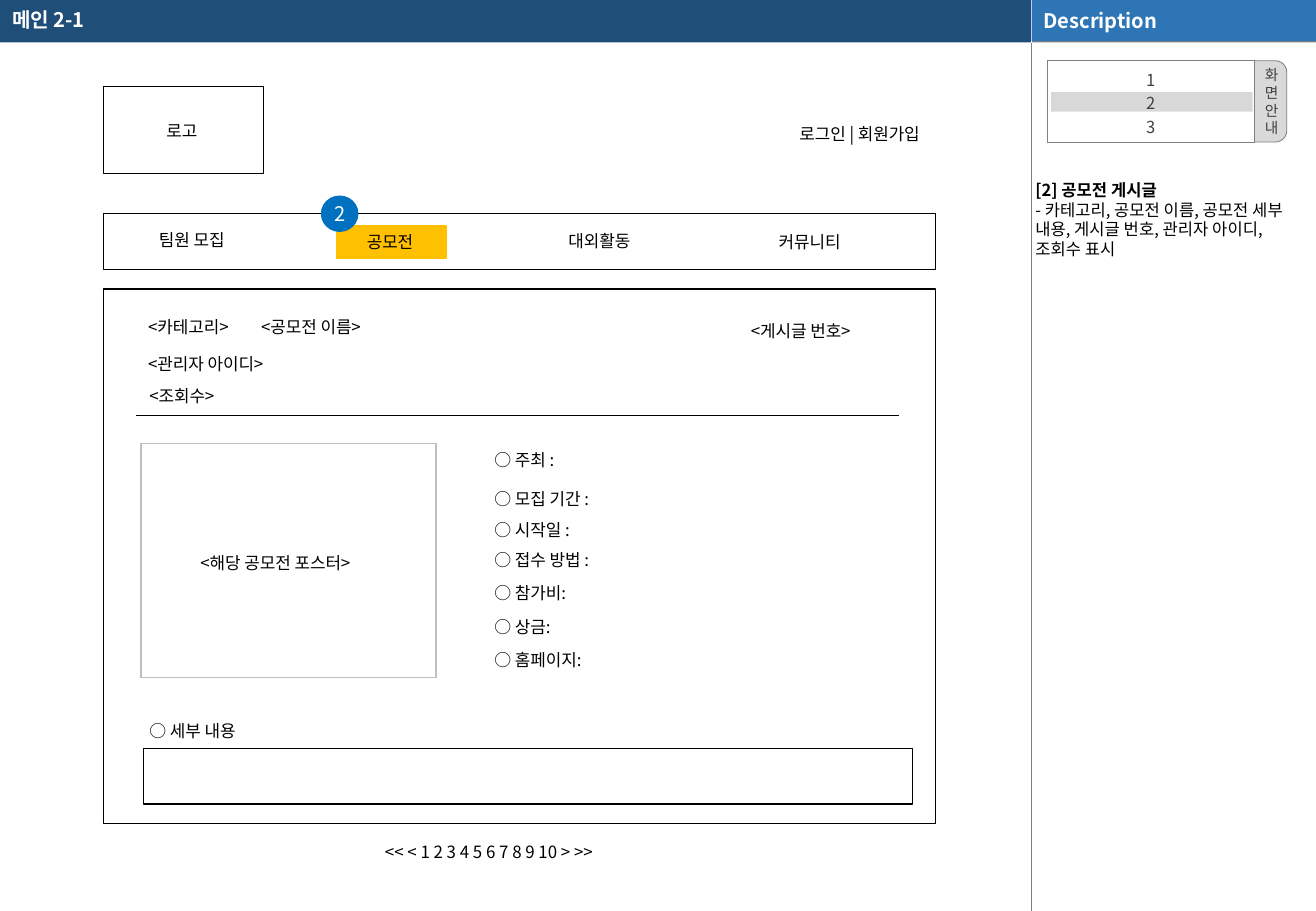
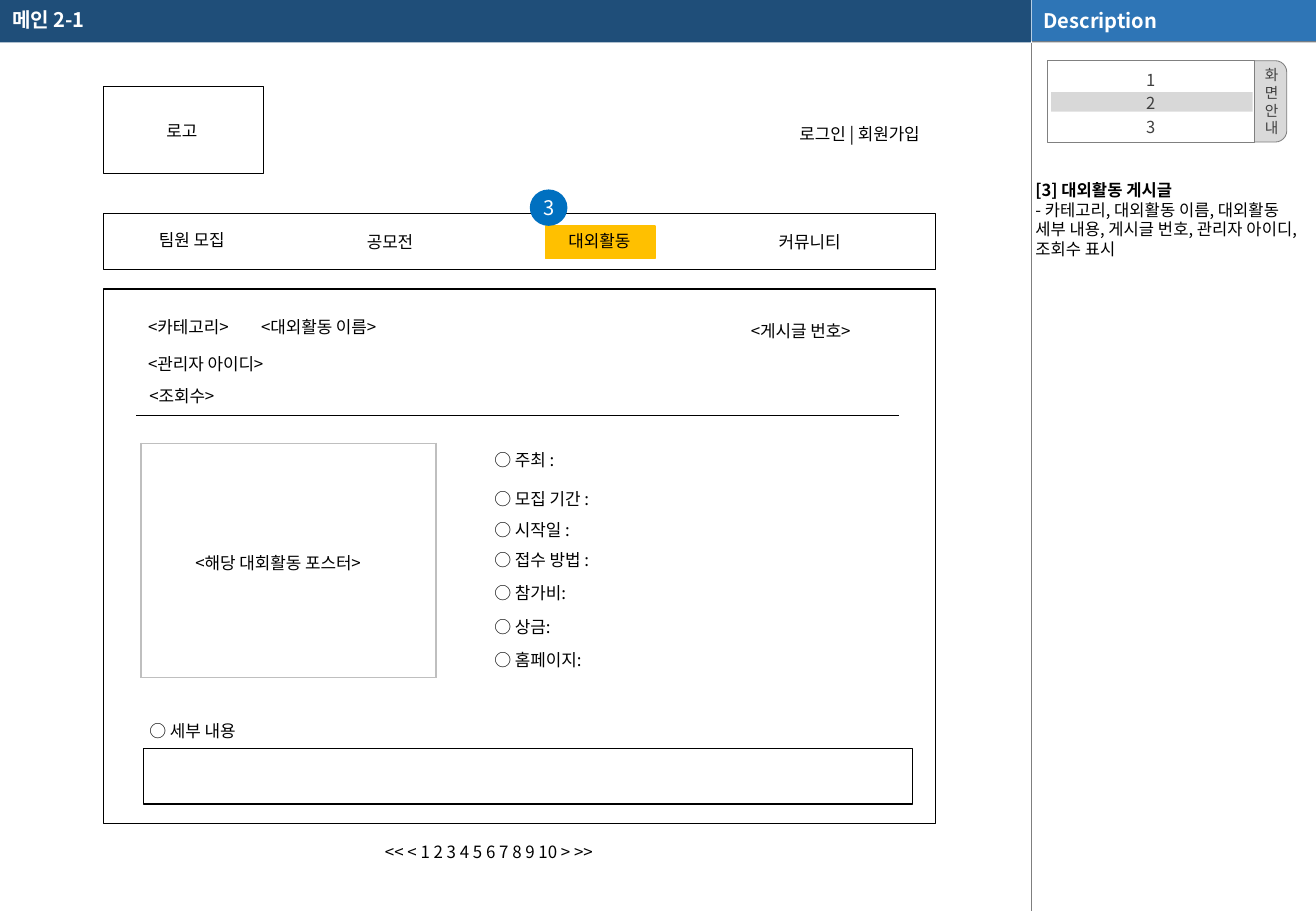
"""Build two wireframe slides for the contest and activity post screens."""
from lxml import etree
from pptx import Presentation
from pptx.dml.color import RGBColor
from pptx.enum.shapes import MSO_CONNECTOR, MSO_SHAPE
from pptx.enum.text import MSO_ANCHOR, MSO_AUTO_SIZE, PP_ALIGN
from pptx.oxml.ns import qn
from pptx.util import Inches, Pt

RECT, ROUNDED, OVAL = MSO_SHAPE.RECTANGLE, MSO_SHAPE.ROUNDED_RECTANGLE, MSO_SHAPE.OVAL
STRAIGHT = MSO_CONNECTOR.STRAIGHT
TOP, MIDDLE = MSO_ANCHOR.TOP, MSO_ANCHOR.MIDDLE
LEFT, CENTER, RIGHT = PP_ALIGN.LEFT, PP_ALIGN.CENTER, PP_ALIGN.RIGHT
GROW, FIXED = MSO_AUTO_SIZE.SHAPE_TO_FIT_TEXT, MSO_AUTO_SIZE.NONE

FONT = "Noto Sans CJK KR"
NAVY, BLUE, BADGE, AMBER = "1F4E79", "2E75B6", "0070C0", "FFC000"
BLACK, WHITE, INK, GRAY, PALE = "000000", "FFFFFF", "404040", "808080", "D9D9D9"
WIDTH, HEIGHT = 10.83, 7.5
SPLIT, BAND = 8.49, 0.35
SIDE = WIDTH - SPLIT
FRAME_LEFT, FRAME_WIDTH = 0.85, 6.85
LABEL = 0.27
FIELD_LEFT = 3.97
LEGEND_TOP, LEGEND_HEIGHT = 0.5, 0.67


def add_box(shapes, kind, at, fill=None, line=None, weight=0.75):
    """Add a flat preset shape."""
    box = shapes.add_shape(kind, *[Inches(length) for length in at])
    box.shadow.inherit = False
    for paint, color in ((box.fill, fill), (box.line.fill, line)):
        if color:
            paint.solid()
            paint.fore_color.rgb = RGBColor.from_string(color)
        else:
            paint.background()
    if line:
        box.line.width = Pt(weight)
    return box


def write(box, lines, size=10, color=BLACK, bold=False, align=LEFT, anchor=TOP,
          insets=(0.1, 0.05, 0.1, 0.05), wrap=True, fit=FIXED, spacing=None):
    """Fill a shape with one paragraph per line."""
    frame = box.text_frame
    frame.word_wrap, frame.auto_size, frame.vertical_anchor = wrap, fit, anchor
    (frame.margin_left, frame.margin_top,
     frame.margin_right, frame.margin_bottom) = [Inches(inset) for inset in insets]
    for index, line in enumerate(lines):
        para = frame.add_paragraph() if index else frame.paragraphs[0]
        para.alignment = align
        if spacing:
            para.line_spacing = spacing
        span = para.add_run()
        span.text = line
        span.font.size, span.font.bold = Pt(size), bold
        span.font.color.rgb = RGBColor.from_string(color)
        span.font.name = FONT
        etree.SubElement(span.font._element, qn("a:ea"), typeface=FONT)
    return frame


tabs = [
    (1.21, 1.84, 0.84, "팀원 모집"),
    (2.92, 1.86, 0.68, "공모전"),
    (4.58, 1.85, 0.81, "대외활동"),
]
unwrapped_labels = [
    (1.27, 0.94, 0.48, "로고"),
    (6.48, 0.97, 1.32, "로그인 | 회원가입"),
    (6.31, 1.86, 0.76, "커뮤니티"),
]
post_labels = [
    (1.12, 2.56, 1.02, "<카테고리>"),
    (6.08, 2.59, 1.22, "<게시글 번호>"),
    (1.12, 2.86, 1.38, "<관리자 아이디>"),
    (1.13, 3.13, 0.91, "<조회수>"),
    (1.13, 5.88, 1.29, "○ 세부 내용 "),
    (3.07, 6.88, 2.57, "<< < 1 2 3 4 5 6 7 8 9 10 > >>"),
]
fields = [
    (3.65, "주최 : "), (3.97, "모집 기간 : "), (4.23, "시작일 : "), (4.48, "접수 방법 : "),
    (4.75, "참가비: "), (5.03, "상금: "), (5.3, "홈페이지: "),
]
field_labels = [(FIELD_LEFT, top, 1.29, "○ " + name) for top, name in fields]
frames = [
    (FRAME_LEFT, 0.71, 1.32, 0.72),
    (FRAME_LEFT, 1.76, FRAME_WIDTH, 0.46),
    (FRAME_LEFT, 2.38, FRAME_WIDTH, 4.4),
    (1.18, 6.16, 6.33, 0.46),
]
rules = [
    (SPLIT, 0, SPLIT, BAND, WHITE, 0.25),
    (SPLIT, BAND, SPLIT, HEIGHT, "7F7F7F", 0.25),
    (1.12, 3.42, 7.4, 3.42, BLACK, 0.5),
]
screens = [
    {"number": "2", "topic": "공모전", "tab_left": 2.77, "badge_top": 1.61, "name_width": 1.16,
     "poster": (1.55, 4.5, 1.71, "<해당 공모전 포스터>")},
    {"number": "3", "topic": "대외활동", "tab_left": 4.49, "badge_top": 1.56, "name_width": 1.34,
     "poster": (1.51, 4.5, 1.84, "<해당 대회활동 포스터>")},
]

deck = Presentation()
deck.slide_width, deck.slide_height = Inches(WIDTH), Inches(HEIGHT)
title_only = deck.slide_layouts[5]

for screen in screens:
    page = deck.slides.add_slide(title_only)
    shapes = page.shapes
    topic, number = screen["topic"], screen["number"]

    add_box(shapes, RECT, (0, 0, SPLIT, BAND), NAVY)
    add_box(shapes, RECT, (SPLIT, 0, SIDE, BAND), GRAY)
    for x1, y1, x2, y2, color, weight in rules:
        rule = shapes.add_connector(STRAIGHT, Inches(x1), Inches(y1), Inches(x2), Inches(y2))
        rule.line.color.rgb = RGBColor.from_string(color)
        rule.line.width = Pt(weight)
        etree.SubElement(rule.element.spPr, qn("a:effectLst"))
    heading = add_box(shapes, RECT, (SPLIT, 0, SIDE, BAND - 0.01), BLUE)
    write(heading, ["Description"], 11.9, WHITE, True, anchor=MIDDLE)

    title = shapes.title
    title.element.getparent().append(title.element)
    title.left, title.top, title.width, title.height = 0, 0, Inches(8.25), Inches(BAND)
    write(title, ["메인 2-1"], 11.9, WHITE, True, anchor=MIDDLE, spacing=0.9)

    legend = shapes.add_group_shape().shapes
    flap = add_box(legend, ROUNDED, (10.09, LEGEND_TOP, 0.5, LEGEND_HEIGHT), PALE, GRAY, 0.5)
    flap.adjustments[0] = 0.19
    write(flap, "화면안내", 8.7, INK, align=RIGHT, anchor=MIDDLE,
          insets=(0, 0, 0.04, 0), wrap=False)
    steps = add_box(legend, RECT, (8.62, LEGEND_TOP, 1.7, LEGEND_HEIGHT), WHITE, GRAY, 0.5)
    write(steps, "123", 9.8, INK, align=CENTER, anchor=MIDDLE,
          insets=[0.04] * 4, wrap=False, spacing=1.2)
    current_step = add_box(legend, RECT, (8.65, 0.76, 1.66, 0.16), INK)
    tint = current_step.element.spPr.find(qn("a:solidFill"))[0]
    etree.SubElement(tint, qn("a:alpha"), val="20000")

    add_box(shapes, RECT, (screen["tab_left"], 1.86, 0.9, LABEL), AMBER, AMBER, 1)
    for at in frames:
        add_box(shapes, RECT, at, line=BLACK)

    poster = shapes.add_table(1, 1, Inches(1.16), Inches(3.65), Inches(2.43), Inches(1.93)).table
    poster.first_row = poster.horz_banding = False
    cell = poster.cell(0, 0)
    borders = cell._tc.get_or_add_tcPr()
    for side in ("lnL", "lnR", "lnT", "lnB"):
        border = etree.SubElement(borders, qn("a:" + side), w=str(Pt(1)))
        paint = etree.SubElement(border, qn("a:solidFill"))
        etree.SubElement(paint, qn("a:srgbClr"), val="BFBFBF")
    cell.fill.background()

    name_label = (2.05, 2.56, screen["name_width"], f"<{topic} 이름>")
    wrapped_labels = tabs + post_labels + field_labels + [name_label, screen["poster"]]
    for labels, wrap in ((unwrapped_labels, False), (wrapped_labels, True)):
        for left, top, width, text in labels:
            box = shapes.add_textbox(Inches(left), Inches(top), Inches(width), Inches(LABEL))
            write(box, [text], wrap=wrap, fit=GROW)

    notes = shapes.add_textbox(Inches(SPLIT - 0.01), Inches(BAND),
                               Inches(SIDE + 0.01), Inches(HEIGHT - BAND))
    summary = f"- 카테고리, {topic} 이름, {topic} 세부 내용, 게시글 번호, 관리자 아이디, 조회수 표시 "
    frame = write(notes, [f"[{number}] {topic} 게시글", summary], 9.8, bold=True,
                  insets=(0.04, 1.13, 0.04, 0))
    frame.paragraphs[1].runs[0].font.bold = False

    badge = add_box(shapes, OVAL, (screen["tab_left"] - 0.13, screen["badge_top"], 0.31, 0.3), BADGE)
    write(badge, [number], 11.9, WHITE, align=CENTER, anchor=MIDDLE, insets=[0] * 4, wrap=False)

deck.save("out.pptx")
